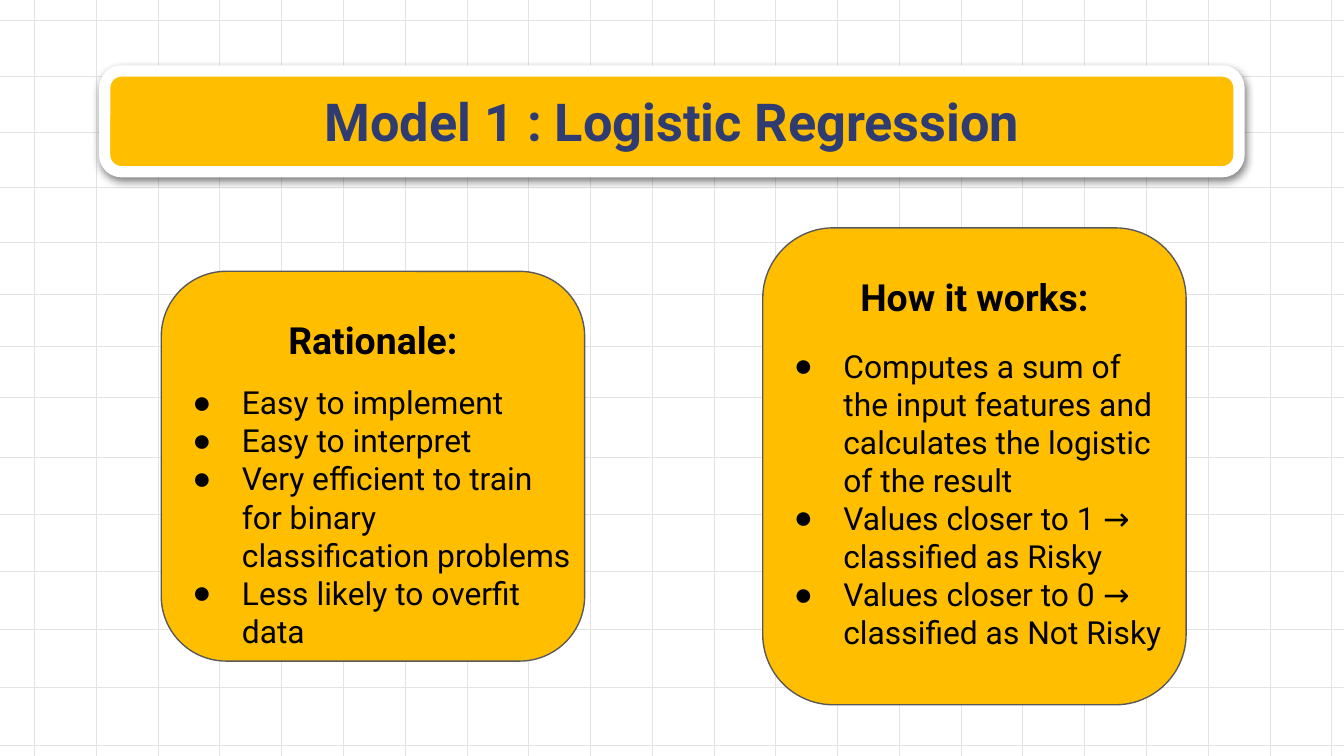
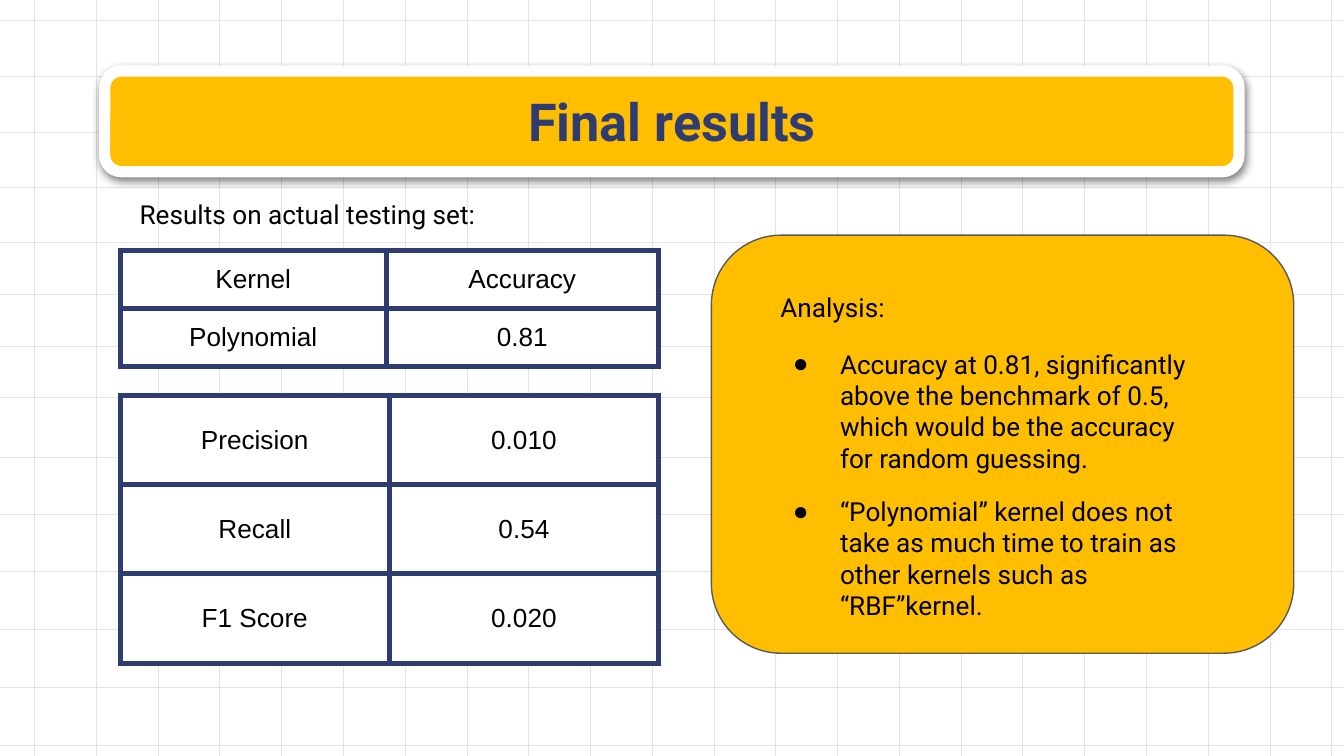
from dataclasses import dataclass

from pptx import Presentation
from pptx.dml.color import RGBColor
from pptx.enum.shapes import MSO_CONNECTOR, MSO_SHAPE
from pptx.enum.text import MSO_ANCHOR, MSO_AUTO_SIZE, PP_ALIGN
from pptx.oxml import parse_xml
from pptx.oxml.ns import nsdecls
from pptx.presentation import Presentation as Deck
from pptx.shapes.autoshape import Shape
from pptx.shapes.connector import Connector
from pptx.slide import Slide
from pptx.text.text import TextFrame
from pptx.util import Pt

YELLOW = RGBColor(0xFF, 0xBE, 0x00)
NAVY = RGBColor(0x2F, 0x3C, 0x72)
BLACK = RGBColor(0x00, 0x00, 0x00)
WHITE = RGBColor(0xFF, 0xFF, 0xFF)
GRID_GRAY = RGBColor(0xE3, 0xE3, 0xE3)
CARD_LINE = RGBColor(0x59, 0x59, 0x59)

FONT = "Roboto"
TABLE_FONT = "Arial"
BULLET_FONT = "Arial"
WIDTH, HEIGHT = 720, 405
INSET = 7.2
TABLE_FRAME = 236.2

GRID_ROWS = (10.8, 41, 70.9, 100.1, 130, 157.7, 185.3,
             213.1, 244.8, 275.8, 306, 337, 368.2, 399.3)
GRID_COLUMNS = tuple(18.5 + 33.09 * i for i in range(22))


@dataclass(frozen=True)
class Box:
    x: float
    y: float
    w: float
    h: float

    def points(self) -> tuple[Pt, Pt, Pt, Pt]:
        return Pt(self.x), Pt(self.y), Pt(self.w), Pt(self.h)


@dataclass(frozen=True)
class TextStyle:
    size: float
    bold: bool = False
    color: RGBColor = BLACK
    align: PP_ALIGN = PP_ALIGN.LEFT
    font: str = FONT


@dataclass(frozen=True)
class Card:
    box: Box
    heading: str
    heading_box: Box
    heading_style: TextStyle
    items: tuple[str, ...]
    list_box: Box
    list_style: TextStyle
    hang: float
    gap: float = 0


@dataclass(frozen=True)
class Grid:
    x: float
    y: float
    columns: tuple[float, ...]
    heights: tuple[float, ...]
    rows: tuple[tuple[str, ...], ...]


TITLE = TextStyle(28, True, NAVY, PP_ALIGN.CENTER)
HEADING = TextStyle(20, True, align=PP_ALIGN.CENTER)
LIST = TextStyle(17)
SMALL = TextStyle(14)
CELL = TextStyle(14, align=PP_ALIGN.CENTER, font=TABLE_FONT)

TITLE_BOX = Box(56.1, 42.5, 607.7, 44)
BAND_BOX = Box(56.1, 38, 607.7, 54)

HOW_IT_WORKS = Card(
    Box(408.6, 122.1, 226.8, 255.5),
    "How it works:", Box(408.6, 139.7, 226.8, 38.9), HEADING,
    ("Computes a sum of the input features and calculates the logistic of the result",
     "Values closer to 1 → classified as Risky",
     "Values closer to 0 → classified as Not Risky"),
    Box(408.6, 178.4, 226.8, 179.3), LIST, hang=26.6)

RATIONALE = Card(
    Box(86.4, 145.4, 226.8, 208.8),
    "Rationale:", Box(86.4, 162.7, 226.8, 38.9), HEADING,
    ("Easy to implement",
     "Easy to interpret",
     "Very efficient to train for binary classification problems",
     "Less likely to overfit data"),
    Box(86.4, 198, 226.8, 138.2), LIST, hang=26.6)

ANALYSIS = Card(
    Box(381.1, 126, 312, 224),
    "Analysis:", Box(411, 149, 275, 31.7), SMALL,
    ("Accuracy at 0.81, significantly above the benchmark of 0.5, "
     "which would be the accuracy for random guessing.",
     "“Polynomial” kernel does not take as much time to train as "
     "other kernels such as “RBF”kernel."),
    Box(406.8, 179.3, 247.7, 145.4), SMALL, hang=25.2, gap=11.6)

KERNEL_TABLE = Grid(64.4, 134, (142.6, 145.7), (31.2, 31.2),
                    (("Kernel", "Accuracy"), ("Polynomial", "0.81")))
SCORE_TABLE = Grid(64.4, 212, (144.2, 144.2), (47.4, 48.1, 48.1),
                   (("Precision", "0.010"), ("Recall", "0.54"), ("F1 Score", "0.020")))


def set_frame(tf: TextFrame, anchor: MSO_ANCHOR = MSO_ANCHOR.TOP) -> None:
    tf.word_wrap = True
    tf.auto_size = MSO_AUTO_SIZE.NONE
    tf.vertical_anchor = anchor
    tf.margin_left = tf.margin_right = tf.margin_top = tf.margin_bottom = Pt(INSET)


def write(tf: TextFrame, lines: tuple[str, ...], style: TextStyle) -> None:
    """Write one paragraph for each line."""
    for i, line in enumerate(lines):
        p = tf.add_paragraph() if i else tf.paragraphs[0]
        p.alignment = style.align
        p.space_before = Pt(0)
        r = p.add_run()
        r.text = line
        r.font.name = style.font
        r.font.size = Pt(style.size)
        r.font.bold = style.bold
        r.font.color.rgb = style.color


def add_bullets(tf: TextFrame, hang: float, gap: float) -> None:
    for i, p in enumerate(tf.paragraphs):
        p.space_before = Pt(gap if i else 0)
        pPr = p._p.get_or_add_pPr()
        pPr.set("marL", str(Pt(36)))
        pPr.set("indent", str(-Pt(hang)))
        for xml in (f'<a:buClr {nsdecls("a")}><a:srgbClr val="{BLACK}"/></a:buClr>',
                    f'<a:buFont {nsdecls("a")} typeface="{BULLET_FONT}"/>',
                    f'<a:buChar {nsdecls("a")} char="●"/>'):
            pPr.append(parse_xml(xml))


def place(sp: Shape, box: Box) -> None:
    sp.left, sp.top, sp.width, sp.height = box.points()


def add_text(s: Slide, box: Box, text: str, style: TextStyle) -> None:
    tf = s.shapes.add_textbox(*box.points()).text_frame
    set_frame(tf)
    write(tf, (text,), style)


def add_panel(s: Slide, box: Box, line: RGBColor, line_width: float) -> Shape:
    """Add a yellow rounded rectangle without a shadow."""
    sp = s.shapes.add_shape(MSO_SHAPE.ROUNDED_RECTANGLE, *box.points())
    sp.shadow.inherit = False
    sp.fill.solid()
    sp.fill.fore_color.rgb = YELLOW
    sp.line.color.rgb = line
    sp.line.width = Pt(line_width)
    return sp


def add_band(s: Slide) -> Shape:
    sp = add_panel(s, BAND_BOX, WHITE, 6)
    effects = sp.element.spPr.find("{*}effectLst")
    effects.append(parse_xml(
        f'<a:outerShdw {nsdecls("a")} blurRad="{Pt(4.5)}" dist="{Pt(1.5)}" '
        f'dir="5400000" algn="bl" rotWithShape="0"><a:srgbClr val="{BLACK}">'
        '<a:alpha val="50000"/></a:srgbClr></a:outerShdw>'))
    return sp


def add_grid_line(s: Slide, x1: float, y1: float, x2: float, y2: float) -> Connector:
    line = s.shapes.add_connector(MSO_CONNECTOR.STRAIGHT, Pt(x1), Pt(y1), Pt(x2), Pt(y2))
    line.line.color.rgb = GRID_GRAY
    line.line.width = Pt(0.35)
    line.element.spPr.append(parse_xml(f'<a:effectLst {nsdecls("a")}/>'))
    return line


def build_master(prs: Deck, s: Slide) -> None:
    """Draw the grid and the title band, then move them to the slide master."""
    parts = [add_grid_line(s, 0, y, WIDTH, y) for y in GRID_ROWS]
    parts += [add_grid_line(s, x, 0, x, HEIGHT) for x in GRID_COLUMNS]
    parts.append(add_band(s))
    tree = prs.slide_master.shapes.element
    for i, part in enumerate(parts):
        part.element.xpath(".//p:cNvPr")[0].set("id", str(100 + i))
        tree.insert(2 + i, part.element)


def set_title(s: Slide, text: str) -> None:
    title = s.shapes.title
    place(title, TITLE_BOX)
    set_frame(title.text_frame, MSO_ANCHOR.MIDDLE)
    write(title.text_frame, (text,), TITLE)


def add_card(s: Slide, card: Card, body: Shape) -> None:
    """Add a panel and its heading, and bring the list placeholder in front."""
    add_panel(s, card.box, CARD_LINE, 0.75)
    add_text(s, card.heading_box, card.heading, card.heading_style)
    place(body, card.list_box)
    tf = body.text_frame
    set_frame(tf)
    write(tf, card.items, card.list_style)
    add_bullets(tf, card.hang, card.gap)
    s.shapes.element.append(body.element)


def add_grid_table(s: Slide, grid: Grid) -> None:
    """Add a table in a square frame; its columns and rows set the drawn size."""
    box = Box(grid.x, grid.y, TABLE_FRAME, TABLE_FRAME)
    frame = s.shapes.add_table(len(grid.rows), len(grid.columns), *box.points())
    table = frame.table
    table.first_row = table.horz_banding = False
    for column, width in zip(table.columns, grid.columns):
        column.width = Pt(width)
    for row, height, texts in zip(table.rows, grid.heights, grid.rows):
        row.height = Pt(height)
        for cell, text in zip(row.cells, texts):
            cell.vertical_anchor = MSO_ANCHOR.MIDDLE
            cell.margin_left = cell.margin_right = Pt(INSET)
            cell.margin_top = cell.margin_bottom = Pt(INSET)
            write(cell.text_frame, (text,), CELL)
            tcPr = cell._tc.get_or_add_tcPr()
            for side in ("lnL", "lnR", "lnT", "lnB"):
                tcPr.append(parse_xml(
                    f'<a:{side} {nsdecls("a")} w="{Pt(3)}"><a:solidFill>'
                    f'<a:srgbClr val="{NAVY}"/></a:solidFill></a:{side}>'))
            cell.fill.solid()
            cell.fill.fore_color.rgb = WHITE
    frame.width = frame.height = Pt(TABLE_FRAME)


def build_model_slide(prs: Deck) -> Slide:
    s = prs.slides.add_slide(prs.slide_layouts.get_by_name("Two Content"))
    set_title(s, "Model 1 : Logistic Regression")
    bodies = [sp for sp in s.placeholders if sp.placeholder_format.idx]
    for card, body in zip((HOW_IT_WORKS, RATIONALE), bodies):
        add_card(s, card, body)
    return s


def build_results_slide(prs: Deck) -> None:
    s = prs.slides.add_slide(prs.slide_layouts.get_by_name("Title and Content"))
    set_title(s, "Final results")
    add_grid_table(s, KERNEL_TABLE)
    add_text(s, Box(67.7, 99.1, 285, 31.7), "Results on actual testing set:", SMALL)
    add_grid_table(s, SCORE_TABLE)
    add_card(s, ANALYSIS, s.placeholders[1])


def main() -> None:
    prs = Presentation()
    prs.slide_width, prs.slide_height = Pt(WIDTH), Pt(HEIGHT)
    build_master(prs, build_model_slide(prs))
    build_results_slide(prs)
    prs.save("out.pptx")


if __name__ == "__main__":
    main()
